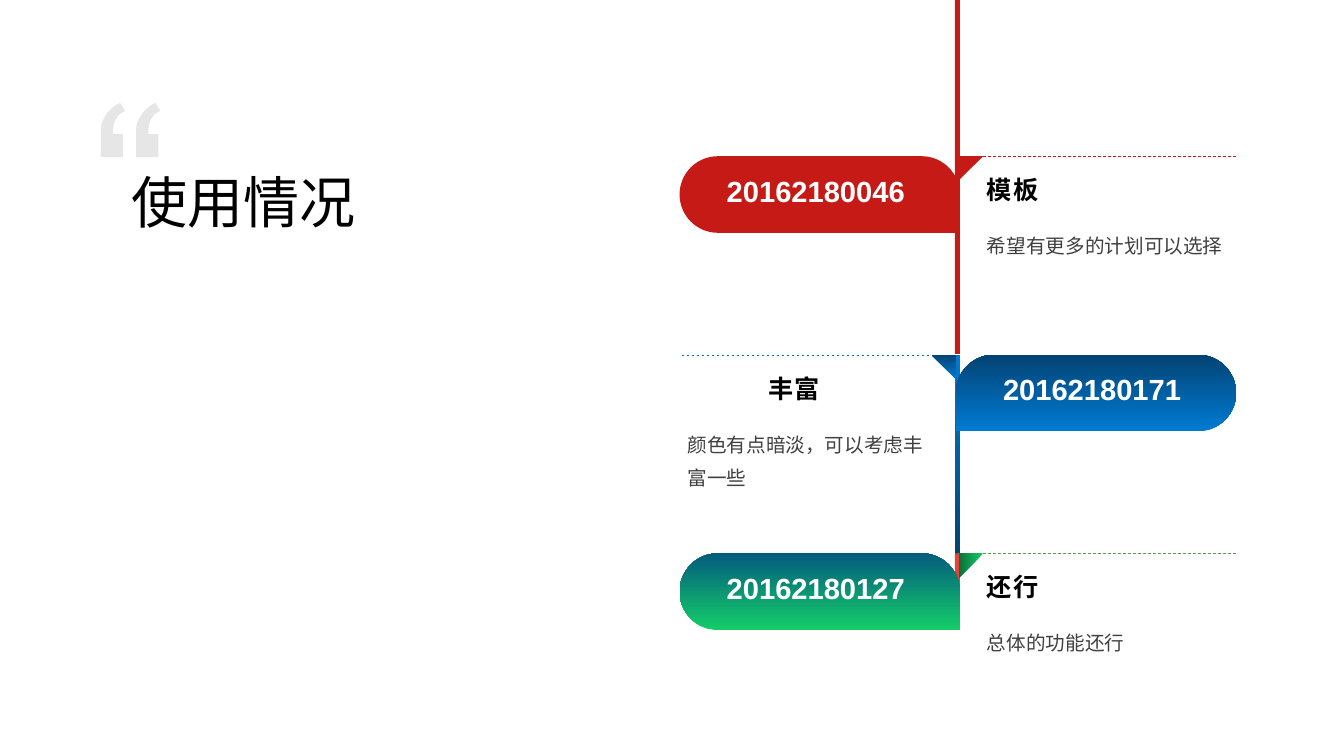
"""Build a slide with a vertical timeline of three user comments."""
from lxml import etree
from pptx import Presentation
from pptx.dml.color import RGBColor
from pptx.enum.dml import MSO_LINE
from pptx.enum.shapes import MSO_CONNECTOR, MSO_SHAPE
from pptx.enum.text import MSO_ANCHOR
from pptx.oxml.ns import qn
from pptx.util import Inches, Pt

RECTANGLE, TRIANGLE = MSO_SHAPE.RECTANGLE, MSO_SHAPE.ISOSCELES_TRIANGLE
STRAIGHT, DASH = MSO_CONNECTOR.STRAIGHT, MSO_LINE.DASH
TOP, MIDDLE, BOTTOM = MSO_ANCHOR.TOP, MSO_ANCHOR.MIDDLE, MSO_ANCHOR.BOTTOM

WHITE = RGBColor(0xFF, 0xFF, 0xFF)
BLACK = RGBColor(0x00, 0x00, 0x00)
BODY_GREY = RGBColor(0x40, 0x40, 0x40)
QUOTE_GREY = RGBColor(0xE6, 0xE6, 0xE6)
RED = RGBColor(0xC5, 0x1A, 0x16)
LIGHT_RED = RGBColor(0xE9, 0x40, 0x3C)
LINE_BLUE = RGBColor(0x00, 0x70, 0xC0)
LINE_GREEN = RGBColor(0x4B, 0xA1, 0x51)
BLUES = (RGBColor(0x00, 0x7B, 0xD3), RGBColor(0x03, 0x43, 0x73))
TEALS = (RGBColor(0x14, 0xCD, 0x68), RGBColor(0x03, 0x5C, 0x7D))
GREENS = (RGBColor(0x14, 0xCD, 0x68), RGBColor(0x0B, 0x6E, 0x38))

LATIN, CJK = "Arial", "Noto Sans CJK SC"
AXIS, AXIS_WIDTH, RIGHT_EDGE = 9.47, 0.05, 12.26
FIRST_TOP, PITCH = 1.55, 1.97
PILL_WIDTH, PILL_HEIGHT = 2.78, 0.76

QUOTE_MARK = [
    [(0.22, 0.31)], [(0.22, 0.54)], [(0, 0.54)], [(0, 0.36)],
    [(0, 0.21), (0, 0.21), (0.04, 0.14)], [(0.07, 0.08), (0.13, 0.03), (0.19, 0)],
    [(0.24, 0.08)], [(0.2, 0.1), (0.17, 0.12), (0.15, 0.16)],
    [(0.13, 0.19), (0.12, 0.24), (0.12, 0.31)],
]


def pill_outline():
    """Return an outline with every corner round but the bottom right."""
    width, height, radius, control = PILL_WIDTH, PILL_HEIGHT, PILL_HEIGHT / 2, 0.17
    return [
        [(radius, 0)], [(width - radius, 0)],
        [(width - control, 0), (width, control), (width, radius)],
        [(width, height)], [(radius, height)],
        [(control, height), (0, height - control), (0, radius)],
        [(0, control), (control, 0), (radius, 0)],
    ]


def place(contour, left, top, direction=1):
    """Move a contour to its place, mirrored when direction is -1."""
    return [[(Inches(left + direction * x), Inches(top + y)) for x, y in segment]
            for segment in contour]


def bend(shape, contours):
    """Join the three points of each curved segment into a cubic curve."""
    lines = iter(list(shape._element.iter(qn("a:lnTo"))))
    for contour in contours:
        for segment in contour[1:]:
            steps = [next(lines) for _ in segment]
            if len(steps) == 3:
                curve = etree.Element(qn("a:cubicBezTo"))
                steps[0].addprevious(curve)
                for step in steps:
                    curve.append(step[0])
                    step.getparent().remove(step)


class TimelineSlide:
    """Hold the slide and draw each kind of element on it."""

    def __init__(self, slide):
        """Keep the slide to draw on."""
        self.shapes = slide.shapes

    def paint(self, shape, fill, angle):
        """Fill with one colour, or with a pair of colours as a gradient."""
        shape.shadow.inherit = False
        shape.line.fill.background()
        if isinstance(fill, RGBColor):
            shape.fill.solid()
            shape.fill.fore_color.rgb = fill
            return
        shape.fill.gradient()
        shape.fill.gradient_angle = angle
        for position, (stop, color) in enumerate(zip(shape.fill.gradient_stops, fill)):
            stop.position = position
            stop.color.rgb = color

    def preset(self, kind, left, top, width, height, fill, rotation=0):
        """Draw a preset shape."""
        shape = self.shapes.add_shape(
            kind, Inches(left), Inches(top), Inches(width), Inches(height))
        self.paint(shape, fill, 270)
        shape.rotation = rotation
        return shape

    def outline(self, contours, fill):
        """Draw contours of lines and curves as one freeform."""
        builder = self.shapes.build_freeform(*contours[0][0][0])
        for index, contour in enumerate(contours):
            if index:
                builder.move_to(*contour[0][0])
            builder.add_line_segments(
                [point for segment in contour[1:] for point in segment])
        shape = builder.convert_to_shape()
        bend(shape, contours)
        self.paint(shape, fill, 90)

    def rule(self, left, right, top, color):
        """Draw a thin dashed horizontal line."""
        line = self.shapes.add_connector(
            STRAIGHT, Inches(left), Inches(top), Inches(right), Inches(top))
        line.line.color.rgb = color
        line.line.width = Pt(0.5)
        line.line.dash_style = DASH
        etree.SubElement(line._element.spPr, qn("a:effectLst"))

    def text(self, words, left, top, width, height, size, color, font=CJK,
             bold=False, anchor=TOP, line_spacing=None, tracking=0):
        """Write one paragraph in a text box."""
        box = self.shapes.add_textbox(
            Inches(left), Inches(top), Inches(width), Inches(height))
        frame = box.text_frame
        frame.word_wrap = True
        frame.vertical_anchor = anchor
        paragraph = frame.paragraphs[0]
        paragraph.line_spacing = line_spacing
        run = paragraph.add_run()
        run.text = words
        run.font.name, run.font.size, run.font.bold = font, Pt(size), bold
        run.font.color.rgb = color
        properties = run._r.get_or_add_rPr()
        if tracking:
            properties.set("spc", str(round(tracking * 100)))
        etree.SubElement(properties, qn("a:ea"), typeface=CJK)

    def entry(self, row, number, heading, comment, bar, bar_fill, pill_fill,
              flag_fill, line_color, pill_on_right=False):
        """Draw one comment with its number on the other side of the axis."""
        top = FIRST_TOP + row * PITCH
        bar_top, bar_height = bar
        self.preset(RECTANGLE, AXIS, bar_top, AXIS_WIDTH, bar_height, bar_fill)

        if pill_on_right:
            number_left, heading_left, comment_left = 9.85, 7.52, 6.72
            line_ends, line_top = (6.76, 9.52), top + 0.01
            flag_left, flag_turn = 9.24, 180
            pill_origin, direction = RIGHT_EDGE, -1
        else:
            number_left, heading_left, comment_left = 7.11, 9.69, 9.69
            line_ends, line_top = (9.5, RIGHT_EDGE), top
            flag_left, flag_turn = 9.51, 90
            pill_origin, direction = AXIS + AXIS_WIDTH - PILL_WIDTH, 1

        self.outline([place(pill_outline(), pill_origin, top, direction)], pill_fill)
        self.text(heading, heading_left, top + 0.12, 1.81, 0.42, 18, BLACK,
                  bold=True, anchor=MIDDLE, tracking=1.2)
        self.text(comment, comment_left, top + 0.63, 2.62, 0.77, 14, BODY_GREY,
                  line_spacing=1.4)
        self.text(number, number_left, top + 0.12, 2.03, 0.54, 20.8, WHITE,
                  font=LATIN, bold=True)
        self.rule(*line_ends, line_top, line_color)
        flag = self.preset(TRIANGLE, flag_left, top, 0.24, 0.24, flag_fill, flag_turn)
        flag.adjustments[0] = 0


def main():
    """Build and save the presentation."""
    presentation = Presentation()
    presentation.slide_width, presentation.slide_height = Inches(13.33), Inches(7.5)
    timeline = TimelineSlide(
        presentation.slides.add_slide(presentation.slide_layouts[6]))

    timeline.entry(1, "20162180171", "丰富", "颜色有点暗淡，可以考虑丰富一些",
                   (3.52, 1.99), BLUES, BLUES, BLUES, LINE_BLUE, pill_on_right=True)
    timeline.entry(0, "20162180046", "模板", "希望有更多的计划可以选择",
                   (0, 3.51), RED, RED, RED, RED)
    timeline.outline([place(QUOTE_MARK, left, 1.02) for left in (1, 1.35)], QUOTE_GREY)
    timeline.text("使用情况", 1.21, 0.93, 3.66, 1.45, 40, BLACK,
                  font=LATIN, anchor=BOTTOM)
    timeline.entry(2, "20162180127", "还行", "总体的功能还行",
                   (5.49, 0.75), LIGHT_RED, TEALS, GREENS, LINE_GREEN)
    presentation.save("out.pptx")


if __name__ == "__main__":
    main()
